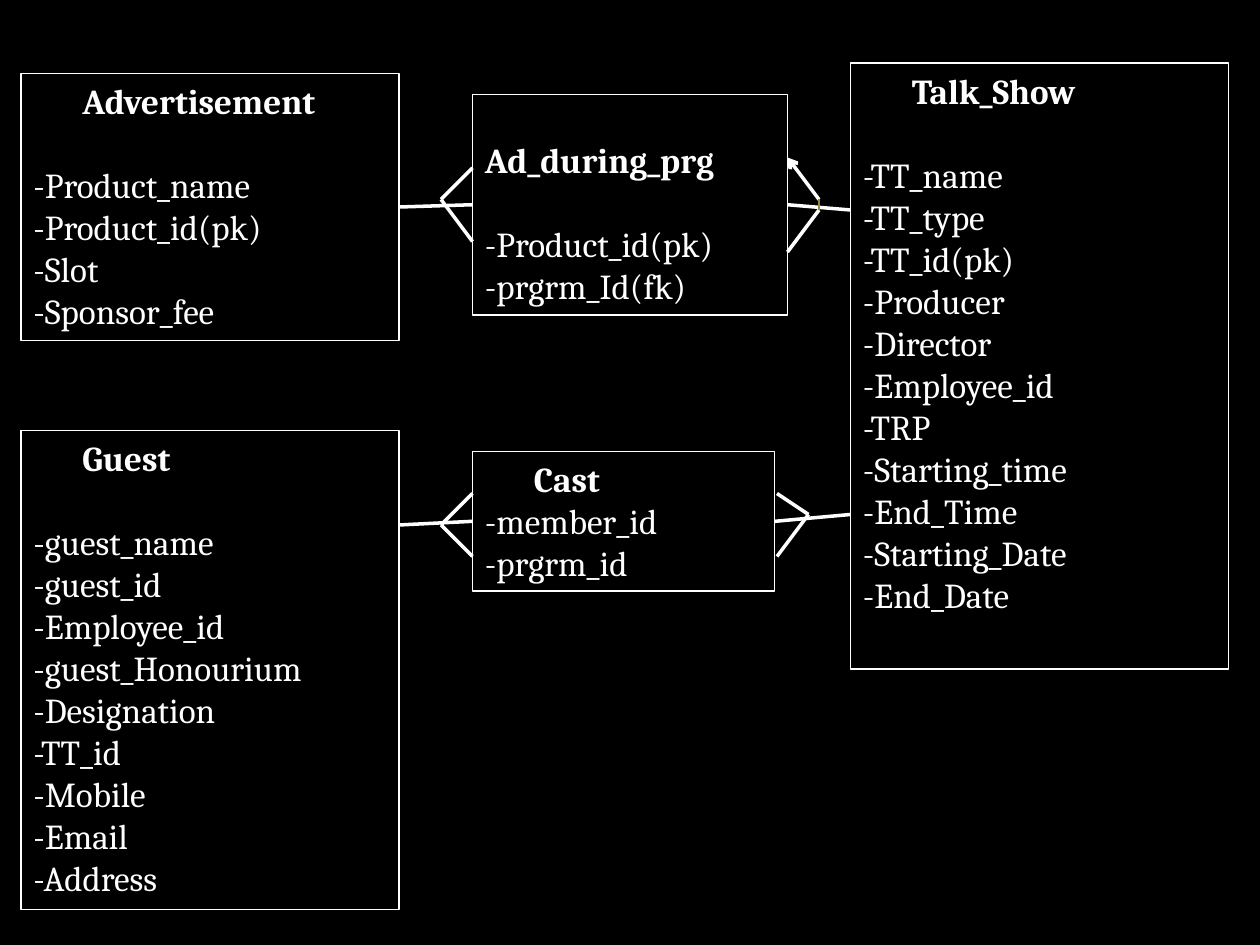
from lxml.etree import SubElement
from pptx import Presentation
from pptx.dml.color import RGBColor
from pptx.enum.shapes import MSO_CONNECTOR, MSO_SHAPE
from pptx.enum.text import MSO_ANCHOR, PP_ALIGN
from pptx.oxml.ns import qn
from pptx.util import Pt

BLACK, WHITE, OLIVE = "000000", "FFFFFF", "998946"
FONT, SIZE, LINE_HEIGHT = "Cambria", 20, 24
TITLE_INDENT, TOP_INSET = 28, 3.6

ENTITIES = [
    dict(name="Advertisement", box=(12, 42, 216, 152.6),
         fields=["Product_name", "Product_id(pk)", "Slot", "Sponsor_fee"]),
    dict(name="Guest", box=(12, 246, 216, 273.6),
         fields=["guest_name", "guest_id", "Employee_id", "guest_Honourium", "Designation",
                 "TT_id", "Mobile", "Email", "Address"]),
    dict(name="Talk_Show", box=(486, 36, 216, 346.4),
         fields=["TT_name", "TT_type", "TT_id(pk)", "Producer", "Director", "Employee_id",
                 "TRP", "Starting_time", "End_Time", "Starting_Date", "End_Date"]),
    dict(name="Ad_during_prg", box=(270, 54, 180, 126), indent=0, top=25.2,
         fields=["Product_id(pk)", "prgrm_Id(fk)"]),
    dict(name="Cast", box=(270, 258, 172.8, 79.8), gap=0,
         fields=["member_id", "prgrm_id"]),
]

LEFT, RIGHT = 1, 3
RELATIONS = [
    ((228, 118.3), (270, 117), ("Advertisement", RIGHT), ("Ad_during_prg", LEFT)),
    ((450, 117), (486, 120), ("Ad_during_prg", RIGHT), None),
    ((228, 300), (270, 297.9), None, ("Cast", LEFT)),
    ((442.8, 297.9), (486, 294), ("Cast", RIGHT), None),
]

CROW_FEET = [
    ((252, 114), (270, 96)),
    ((252, 114), (270, 138)),
    ((252, 300), (270, 282)),
    ((252, 300), (270, 318)),
    ((468, 120), (450, 144)),
    ((462, 294), (444, 282)),
    ((462, 294), (444, 318)),
]
ARROW = ((468, 114), (450, 90))
TICK = ((468, 114), (468, 120))


def rgb(value):
    return RGBColor.from_string(value)


def add_entity(slide, name, box, fields, indent=TITLE_INDENT, top=TOP_INSET, gap=LINE_HEIGHT):
    sp = slide.shapes.add_shape(MSO_SHAPE.RECTANGLE, *map(Pt, box))
    sp.shadow.inherit = False
    sp.fill.solid()
    sp.fill.fore_color.rgb = rgb(BLACK)
    sp.line.color.rgb = rgb(WHITE)
    sp.line.width = Pt(0.75)
    tf = sp.text_frame
    tf.word_wrap = True
    tf.vertical_anchor = MSO_ANCHOR.TOP
    tf.margin_top = Pt(top)
    tf.text = "\n".join([name] + [f"-{field}" for field in fields])
    for i, p in enumerate(tf.paragraphs):
        p.alignment = PP_ALIGN.LEFT
        p.font.name = FONT
        p.font.size = Pt(SIZE)
        p.font.bold = i == 0
        p.font.color.rgb = rgb(WHITE)
    title, first = tf.paragraphs[:2]
    title._p.get_or_add_pPr().set("indent", str(Pt(indent)))
    first.space_before = Pt(gap)
    return sp


def add_line(slide, start, end, color=WHITE, width=2):
    line = slide.shapes.add_connector(MSO_CONNECTOR.STRAIGHT, *map(Pt, start + end))
    line.line.color.rgb = rgb(color)
    line.line.width = Pt(width)
    SubElement(line._element.spPr, qn("a:effectLst"))
    return line


def main():
    prs = Presentation()
    prs.slide_width, prs.slide_height = Pt(720), Pt(540)
    slide = prs.slides.add_slide(prs.slide_layouts[6])
    slide.background.fill.solid()
    slide.background.fill.fore_color.rgb = rgb(BLACK)

    boxes = {entity["name"]: add_entity(slide, **entity) for entity in ENTITIES}
    for start, end, source, target in RELATIONS:
        line = add_line(slide, start, end)
        if source:
            line.begin_connect(boxes[source[0]], source[1])
        if target:
            line.end_connect(boxes[target[0]], target[1])
    for start, end in CROW_FEET:
        add_line(slide, start, end)
    arrow = add_line(slide, *ARROW)
    SubElement(arrow.line._get_or_add_ln(), qn("a:tailEnd"), type="arrow")
    add_line(slide, *TICK, color=OLIVE, width=0.75)
    prs.save("out.pptx")


if __name__ == "__main__":
    main()
